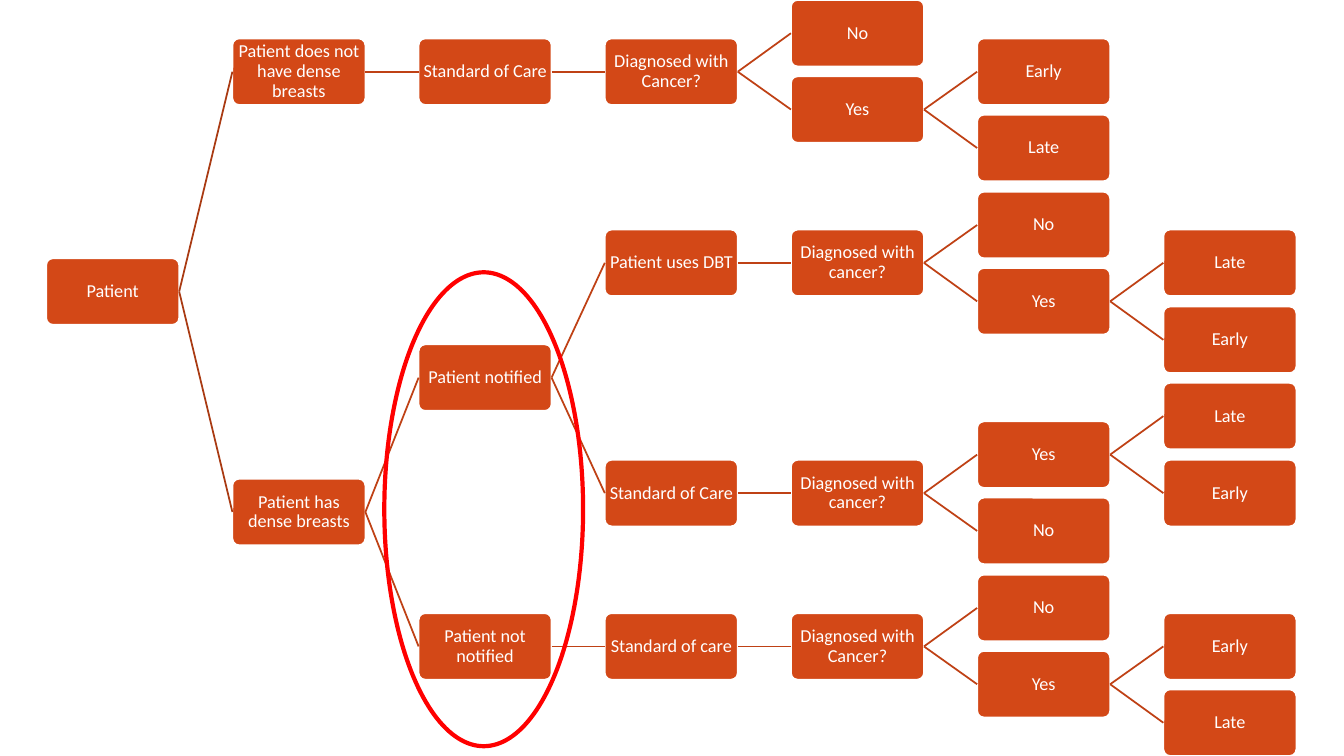
from collections import defaultdict
from dataclasses import dataclass

from lxml.etree import SubElement
from pptx import Presentation
from pptx.dml.color import RGBColor
from pptx.enum.shapes import MSO_CONNECTOR, MSO_SHAPE
from pptx.enum.text import MSO_ANCHOR, PP_ALIGN
from pptx.oxml.ns import qn
from pptx.util import Pt

PX = 6350  # EMU per px, 144 px to the inch
SLIDE_W, SLIDE_H = 1920, 1080


@dataclass(frozen=True)
class Theme:
    white: RGBColor = RGBColor.from_string("FFFFFF")
    node: RGBColor = RGBColor.from_string("D34817")
    root_branch: RGBColor = RGBColor.from_string("A93A12")
    branch: RGBColor = RGBColor.from_string("BF4115")
    highlight: RGBColor = RGBColor.from_string("FF0000")
    font: str = "Calibri"
    text_size: float = 13
    thin: float = 1.25
    thick: float = 3


THEME = Theme()

# Tree size: a box, and the columns and rows that carry it
NODE_W, NODE_H = 190, 95
COLUMN_PITCH = 266
LAST_ROW = 9


@dataclass
class Node:
    label: str
    children: tuple = ()
    row: float = 0


def node(label, *children):
    return Node(label, children)


def diagnosis(question, *answers):
    return node(question, *answers)


def yes(*stages):
    return node("Yes", *[node(stage) for stage in stages])


PATIENT_TREE = node(
    "Patient",
    node("Patient does not have dense breasts",
         node("Standard of Care",
              node("Diagnosed with Cancer?", node("No"), yes("Early", "Late")))),
    node("Patient has dense breasts",
         node("Patient notified",
              node("Patient uses DBT",
                   node("Diagnosed with cancer?", node("No"), yes("Late", "Early"))),
              node("Standard of Care",
                   node("Diagnosed with cancer?", yes("Late", "Early"), node("No")))),
         node("Patient not notified",
              node("Standard of care",
                   node("Diagnosed with Cancer?", node("No"), yes("Early", "Late"))))),
)


def assign_rows(item, next_free, level=0, floor=0):
    """Pack each column downwards and centre every parent on its children."""
    item.row = max(floor, next_free[level])
    if item.children:
        child_floor = item.row - (len(item.children) - 1) / 2
        for child in item.children:
            assign_rows(child, next_free, level + 1, child_floor)
        item.row = (item.children[0].row + item.children[-1].row) / 2
    next_free[level] = item.row + 1


def add_node(slide, label, left, top):
    box = slide.shapes.add_shape(MSO_SHAPE.ROUNDED_RECTANGLE, left * PX, top * PX,
                                 NODE_W * PX, NODE_H * PX)
    box.adjustments[0] = 0.1
    box.shadow.inherit = False
    box.fill.solid()
    box.fill.fore_color.rgb = THEME.node
    box.line.color.rgb = THEME.white
    box.line.width = Pt(THEME.thin)

    frame = box.text_frame
    frame.word_wrap = True
    frame.vertical_anchor = MSO_ANCHOR.MIDDLE
    frame.margin_left = frame.margin_right = PX
    frame.margin_top = frame.margin_bottom = PX
    paragraph = frame.paragraphs[0]
    paragraph.alignment = PP_ALIGN.CENTER
    paragraph.line_spacing = 0.9
    run = paragraph.add_run()
    run.text = label
    run.font.name = THEME.font
    run.font.size = Pt(THEME.text_size)
    run.font.color.rgb = THEME.white
    return box


def add_branch(slide, parent, child, color):
    branch = slide.shapes.add_connector(MSO_CONNECTOR.STRAIGHT, 0, 0, 0, 0)
    branch.begin_connect(parent, 3)
    branch.end_connect(child, 1)
    branch.line.color.rgb = color
    branch.line.width = Pt(THEME.thin)
    SubElement(branch._element.spPr, qn("a:effectLst"))


def add_tree(slide, item, left, top, height, level=0):
    """Draw a node and everything to its right; return the node's box."""
    row_pitch = (height - NODE_H) / LAST_ROW
    box = add_node(slide, item.label, left + level * COLUMN_PITCH,
                   top + round(item.row * row_pitch))
    color = THEME.branch if level else THEME.root_branch
    for child in item.children:
        child_box = add_tree(slide, child, left, top, height, level + 1)
        add_branch(slide, box, child_box, color)
    return box


def add_highlight(slide, left, top, width, height):
    ring = slide.shapes.add_shape(MSO_SHAPE.OVAL, left * PX, top * PX,
                                  width * PX, height * PX)
    ring.shadow.inherit = False
    ring.fill.background()
    ring.line.color.rgb = THEME.highlight
    ring.line.width = Pt(THEME.thick)


def main():
    deck = Presentation()
    deck.slide_width, deck.slide_height = SLIDE_W * PX, SLIDE_H * PX
    slide = deck.slides.add_slide(deck.slide_layouts[6])
    slide.background.fill.solid()
    slide.background.fill.fore_color.rgb = THEME.white

    # Decision tree
    assign_rows(PATIENT_TREE, defaultdict(float))
    add_tree(slide, PATIENT_TREE, left=66, top=0, height=SLIDE_H)

    # Ring around the notification step
    add_highlight(slide, left=549, top=389, width=284, height=677)

    deck.save("out.pptx")


if __name__ == "__main__":
    main()
